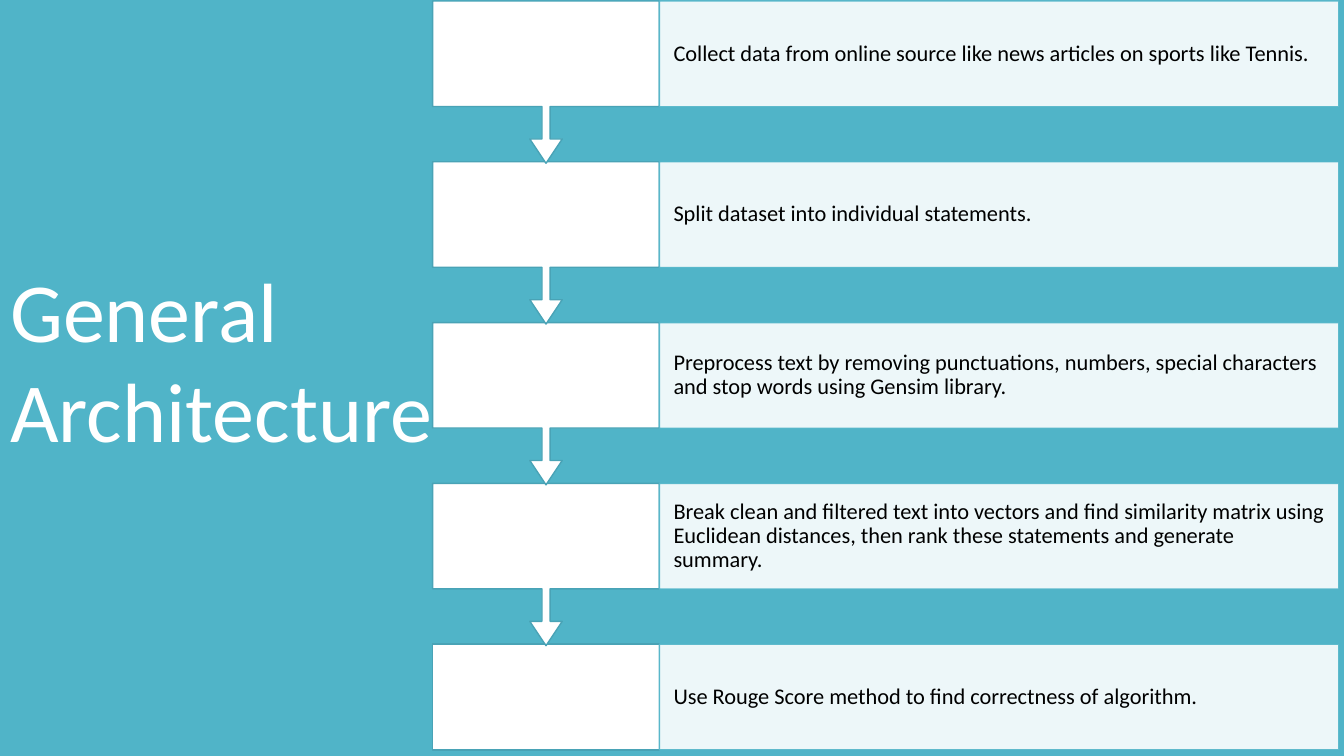
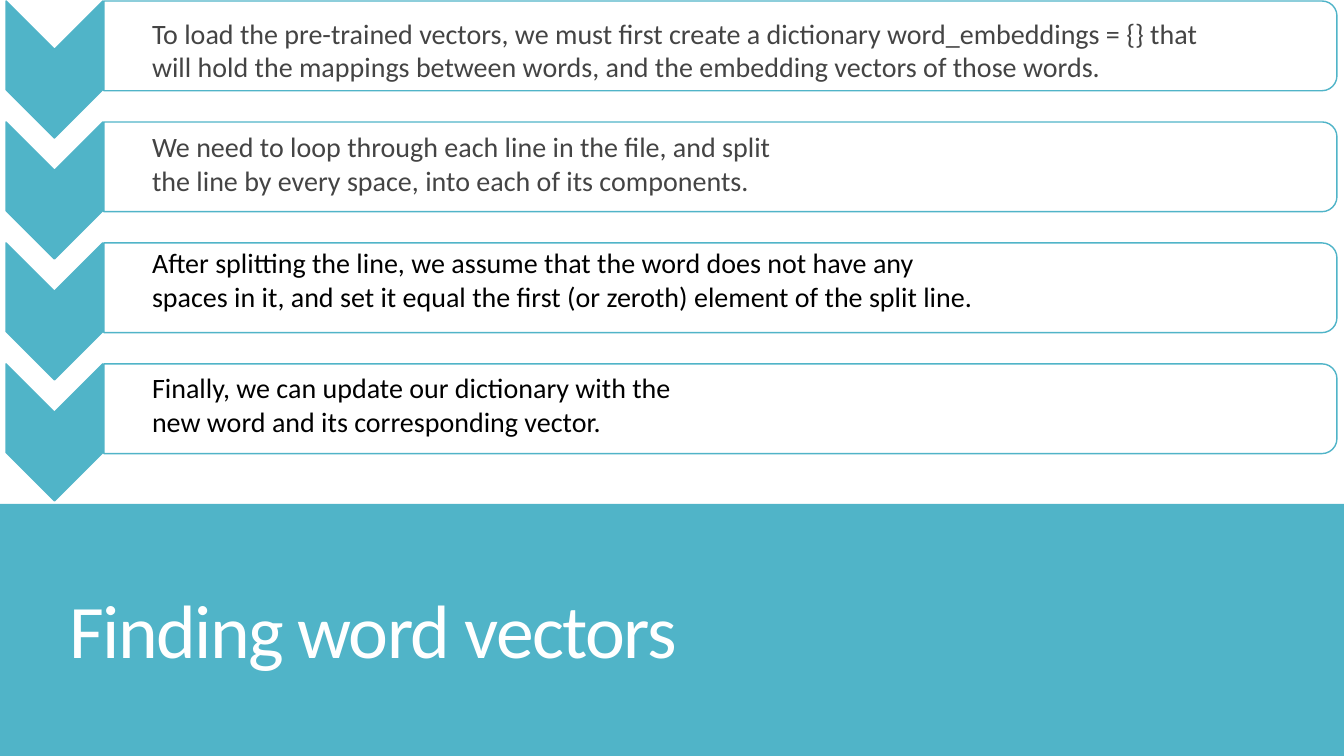
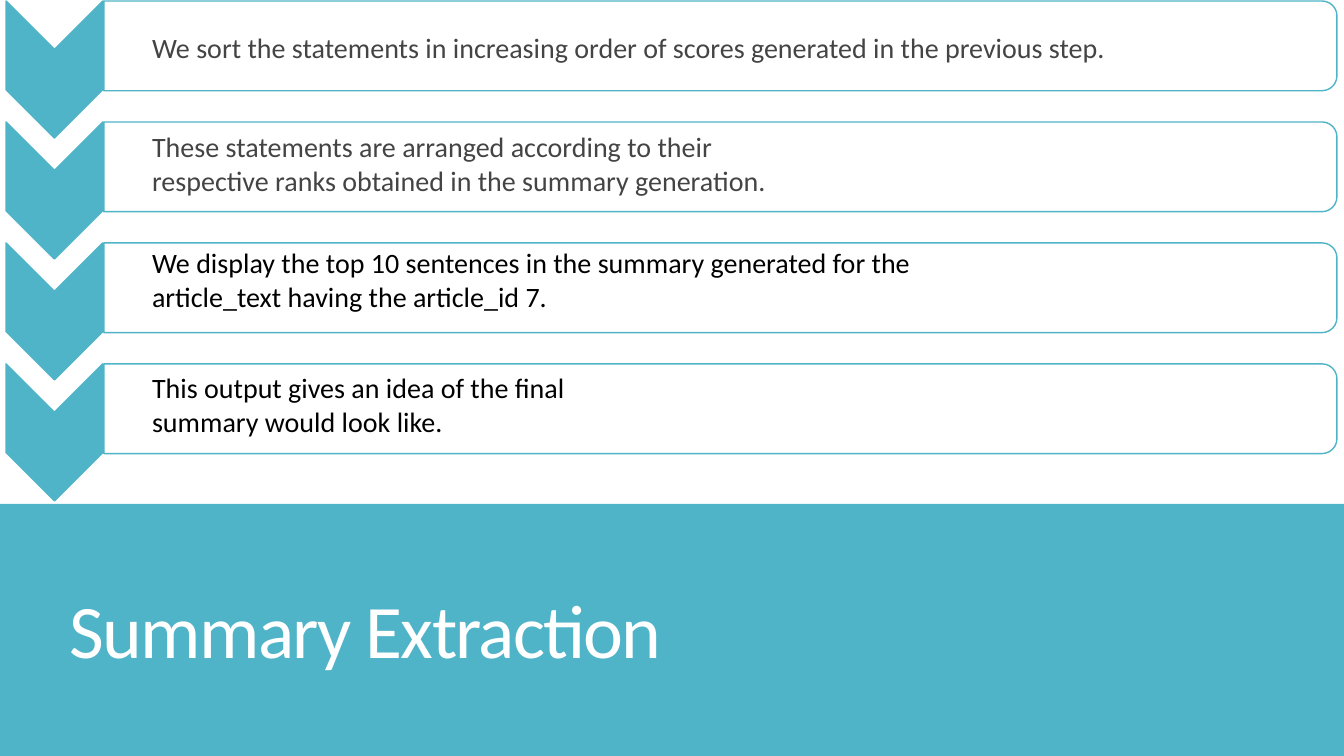
from dataclasses import dataclass

from lxml.etree import SubElement
from pptx import Presentation
from pptx.dml.color import RGBColor as Rgb
from pptx.enum.shapes import MSO_SHAPE as Kind
from pptx.enum.text import MSO_ANCHOR as Anchor
from pptx.enum.text import MSO_AUTO_SIZE as Fit
from pptx.enum.text import PP_ALIGN as Align
from pptx.oxml.ns import qn
from pptx.util import Inches, Pt


@dataclass(frozen=True)
class Theme:
    font: str = "Calibri"
    teal: str = "50B4C8"
    edge: str = "49A3B6"
    white: str = "FFFFFF"
    black: str = "000000"
    gray: str = "444444"
    hero: int = 60
    title: int = 54
    body: int = 20
    step: int = 16


LOOK = Theme()
WIDE, HIGH = 13.33, 7.5

STEPS = (
    "Collect data from online source like news articles on sports like Tennis.",
    "Split dataset into individual statements.",
    "Preprocess text by removing punctuations, numbers, special characters "
    "and stop words using Gensim library.",
    "Break clean and filtered text into vectors and find similarity matrix using "
    "Euclidean distances, then rank these statements and generate summary.",
    "Use Rouge Score method to find correctness of algorithm.",
)
VECTORS = (
    "To load the pre-trained vectors, we must first create a dictionary "
    "word_embeddings = {} that will hold the mappings between words, "
    "and the embedding vectors of those words.",
    "We need to loop through each line in the file, and split the line "
    "by every space, into each of its components.",
    "After splitting the line, we assume that the word does not have any spaces "
    "in it, and set it equal the first (or zeroth) element of the split line.",
    "Finally, we can update our dictionary with the new word "
    "and its corresponding vector.",
)
SUMMARY = (
    "We sort the statements in increasing order of scores generated "
    "in the previous step.",
    "These statements are arranged according to their respective ranks "
    "obtained in the summary generation.",
    "We display the top 10 sentences in the summary generated for the "
    "article_text having the article_id 7.",
    "This output gives an idea of the final summary would look like.",
)
# Top, width and colour of the text in each row of a chevron list
NOTES = (
    (0.11, 10.66, LOOK.gray),
    (1.24, 6.66, LOOK.gray),
    (2.39, 8.44, LOOK.black),
    (3.63, 5.4, LOOK.black),
)


def color(code):
    return Rgb.from_string(code)


def place(shape, box):
    shape.left, shape.top, shape.width, shape.height = map(Inches, box)


def write(shape, text, size, tint, anchor=Anchor.TOP, lead=1, track=0, pad=(0.1, 0.05)):
    """Set the text; track is letter spacing in points, pad the side and top insets."""
    frame = shape.text_frame
    frame.word_wrap = True
    frame.auto_size = Fit.NONE
    frame.vertical_anchor = anchor
    frame.margin_left = frame.margin_right = Inches(pad[0])
    frame.margin_top = frame.margin_bottom = Inches(pad[1])
    para = frame.paragraphs[0]
    para.alignment = Align.LEFT
    para.line_spacing = lead
    run = para.add_run()
    run.text = text
    run.font.name = LOOK.font
    run.font.size = Pt(size)
    run.font.color.rgb = color(tint)
    if track:
        run.font._element.set("spc", str(round(track * 100)))


def fade(part):
    """Make the first solid colour inside an XML part 90% opaque."""
    tone = part.find(".//" + qn("a:srgbClr"))
    SubElement(tone, qn("a:alpha")).set("val", "90000")


def draw(slide, kind, box, fill, line=None, turn=0):
    """Add a shape that covers box as seen after its turn."""
    left, top, wide, high = box
    if turn == 90:
        shift = (wide - high) / 2
        box = left + shift, top - shift, high, wide
    shape = slide.shapes.add_shape(kind, *map(Inches, box))
    shape.rotation = turn
    shape.shadow.inherit = False
    shape.fill.solid()
    shape.fill.fore_color.rgb = color(fill)
    if line:
        shape.line.color.rgb = color(line)
        shape.line.width = Pt(1)
    else:
        shape.line.fill.background()
    return shape


def start(deck, back):
    slide = deck.slides.add_slide(deck.slide_layouts[5])
    slide.background.fill.solid()
    slide.background.fill.fore_color.rgb = color(back)
    return slide


def head(slide, text, box, size, **form):
    title = slide.shapes.title
    place(title, box)
    write(title, text, size, LOOK.white, **form)
    return title


def flow(deck, text, steps):
    slide = start(deck, LOOK.teal)
    head(slide, text, (0, 2.51, 4.8, 2.12), LOOK.hero)
    left, mid, right, high = 4.29, 6.54, 13.28, 1.05
    last = len(steps) - 1
    pitch = (HIGH - 0.07 - high) / last
    for row in range(last, -1, -1):
        top = 0.01 + row * pitch
        if row == last:
            draw(slide, Kind.RECTANGLE, (left, top, mid - left, high),
                 LOOK.white, LOOK.edge)
        else:
            call = draw(slide, Kind.UP_ARROW_CALLOUT, (left, top, mid - left, 1.61),
                        LOOK.white, LOOK.edge, turn=180)
            for spot, share in enumerate((0.05, 0.1, 0.15, 0.65)):
                call.adjustments[spot] = share
        card = draw(slide, Kind.RECTANGLE, (mid, top, right - mid, high),
                    LOOK.white, LOOK.teal)
        fade(card.element.spPr)
        fade(card.element.spPr.find(qn("a:ln")))
        write(card, steps[row], LOOK.step, LOOK.black, anchor=Anchor.MIDDLE,
              lead=0.9, pad=(0.14, 0.22))


def chain(deck, text, items, first=NOTES[0][0], tall=0.77):
    """Build a chevron list; first and tall place the text of the top row."""
    slide = start(deck, LOOK.white)
    band = draw(slide, Kind.RECTANGLE, (0, HIGH * 2 / 3, WIDE, HIGH / 3), LOOK.teal)
    title = head(slide, text, (0.59, 5.4, 11.78, 1.81), LOOK.title,
                 anchor=Anchor.MIDDLE, lead=0.85, track=-1.2)
    title.element.addprevious(band.element)
    for row in range(len(items)):
        top = 0.01 + row * 1.2
        draw(slide, Kind.CHEVRON, (0.06, top, 0.95 + 0.01, 1.36),
             LOOK.teal, LOOK.teal, turn=90)
        card = draw(slide, Kind.ROUND_2_SAME_RECTANGLE, (1.03, top, 12.23, 0.89),
                    LOOK.white, LOOK.teal, turn=90)
        fade(card.element.spPr)
    for row, (item, (top, wide, tint)) in enumerate(zip(items, NOTES)):
        box = (1.41, top, wide, 0.77) if row else (1.41, first, wide, tall)
        note = slide.shapes.add_textbox(*map(Inches, box))
        write(note, item, LOOK.body, tint)


def main():
    deck = Presentation()
    deck.slide_width, deck.slide_height = Inches(WIDE), Inches(HIGH)
    flow(deck, "General Architecture", STEPS)
    chain(deck, "Finding word vectors", VECTORS)
    chain(deck, "Summary Extraction", SUMMARY, first=0.25, tall=0.44)
    deck.save("out.pptx")


if __name__ == "__main__":
    main()
